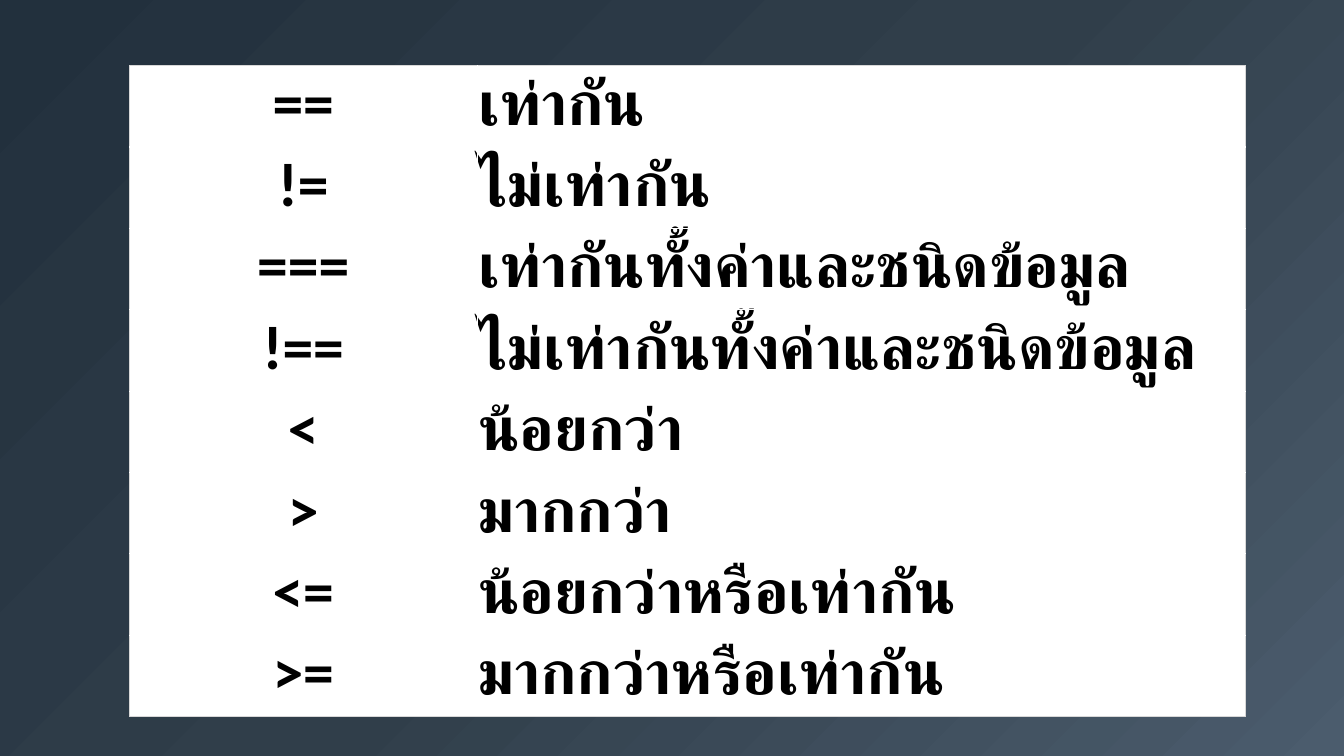
from lxml import etree
from pptx import Presentation
from pptx.dml.color import RGBColor
from pptx.enum.text import MSO_ANCHOR, PP_ALIGN
from pptx.oxml import parse_xml
from pptx.oxml.ns import qn
from pptx.util import Pt

BOTTOM = MSO_ANCHOR.BOTTOM
CENTER, LEFT = PP_ALIGN.CENTER, PP_ALIGN.LEFT
DRAWING_NAMESPACE = "http://schemas.openxmlformats.org/drawingml/2006/main"
FONT = "Calibri"
BORDER_COLOR = "D8D8D8"
BACKGROUND_STOPS = [(0, "4B5C6D"), (49, "303E4A"), (100, "22303D")]
OPERATORS = [
    ("==", "เท่ากัน"),
    ("!=", "ไม่เท่ากัน"),
    ("===", "เท่ากันทั้งค่าและชนิดข้อมูล"),
    ("!==", "ไม่เท่ากันทั้งค่าและชนิดข้อมูล"),
    ("<", "น้อยกว่า"),
    (">", "มากกว่า"),
    ("<=", "น้อยกว่าหรือเท่ากัน"),
    (">=", "มากกว่าหรือเท่ากัน"),
]


def color(value):
    """Turn a hex string into a colour."""
    return RGBColor.from_string(value)


def paint_background(slide, stops):
    """Fill the slide with a radial gradient centred on the bottom right corner."""
    slide.background.fill.solid()
    properties = slide.element.xpath(".//p:bgPr")[0]
    stop_xml = "".join(
        f'<a:gs pos="{position * 1000}"><a:srgbClr val="{value}"/></a:gs>'
        for position, value in stops
    )
    gradient = parse_xml(
        f'<a:gradFill xmlns:a="{DRAWING_NAMESPACE}" rotWithShape="1">'
        f"<a:gsLst>{stop_xml}</a:gsLst>"
        '<a:path path="circle"><a:fillToRect l="100000" t="100000"/></a:path>'
        "</a:gradFill>"
    )
    properties.replace(properties.find(qn("a:solidFill")), gradient)


def add_border(cell, side):
    """Draw a thin line on one side of a cell: L, R, T or B."""
    properties = cell._tc.get_or_add_tcPr()
    line = etree.SubElement(properties, qn(f"a:ln{side}"), w=str(Pt(0.5)))
    fill = etree.SubElement(line, qn("a:solidFill"))
    etree.SubElement(fill, qn("a:srgbClr"), val=BORDER_COLOR)


def format_cell(cell, text, alignment, sides):
    """Write and style one table cell."""
    cell.margin_left = cell.margin_right = cell.margin_top = Pt(0.75)
    cell.margin_bottom = Pt(3.6)
    cell.vertical_anchor = BOTTOM
    for side in sides:
        add_border(cell, side)
    cell.fill.solid()
    cell.fill.fore_color.rgb = color("FFFFFF")
    paragraph = cell.text_frame.paragraphs[0]
    paragraph.text = text
    paragraph.alignment = alignment
    font = paragraph.runs[0].font
    font.size = Pt(44)
    font.bold = True
    font.name = FONT
    font.color.rgb = color("000000")
    etree.SubElement(paragraph.runs[0]._r.get_or_add_rPr(), qn("a:cs"), typeface=FONT)


def add_operator_table(slide, left, top, width, height):
    """Add the table of comparison operators and their meanings."""
    row_count = len(OPERATORS)
    table = slide.shapes.add_table(
        row_count, 2, Pt(left), Pt(top), Pt(width), Pt(height)
    ).table
    table.first_row = table.horz_banding = False
    operator_width = 248.4
    table.columns[0].width = Pt(operator_width)
    table.columns[1].width = Pt(width - operator_width)
    for index, (operator, meaning) in enumerate(OPERATORS):
        edge = "T" if index == 0 else "B" if index == row_count - 1 else ""
        format_cell(table.cell(index, 0), operator, CENTER, "L" + edge)
        format_cell(table.cell(index, 1), meaning, LEFT, "R" + edge)


def main():
    """Build and save the presentation."""
    presentation = Presentation()
    presentation.slide_width = Pt(960)
    presentation.slide_height = Pt(540)
    slide = presentation.slides.add_slide(presentation.slide_layouts[6])
    paint_background(slide, BACKGROUND_STOPS)
    add_operator_table(slide, 92.4, 46.8, 797.2, 420.8)
    presentation.save("out.pptx")


if __name__ == "__main__":
    main()
